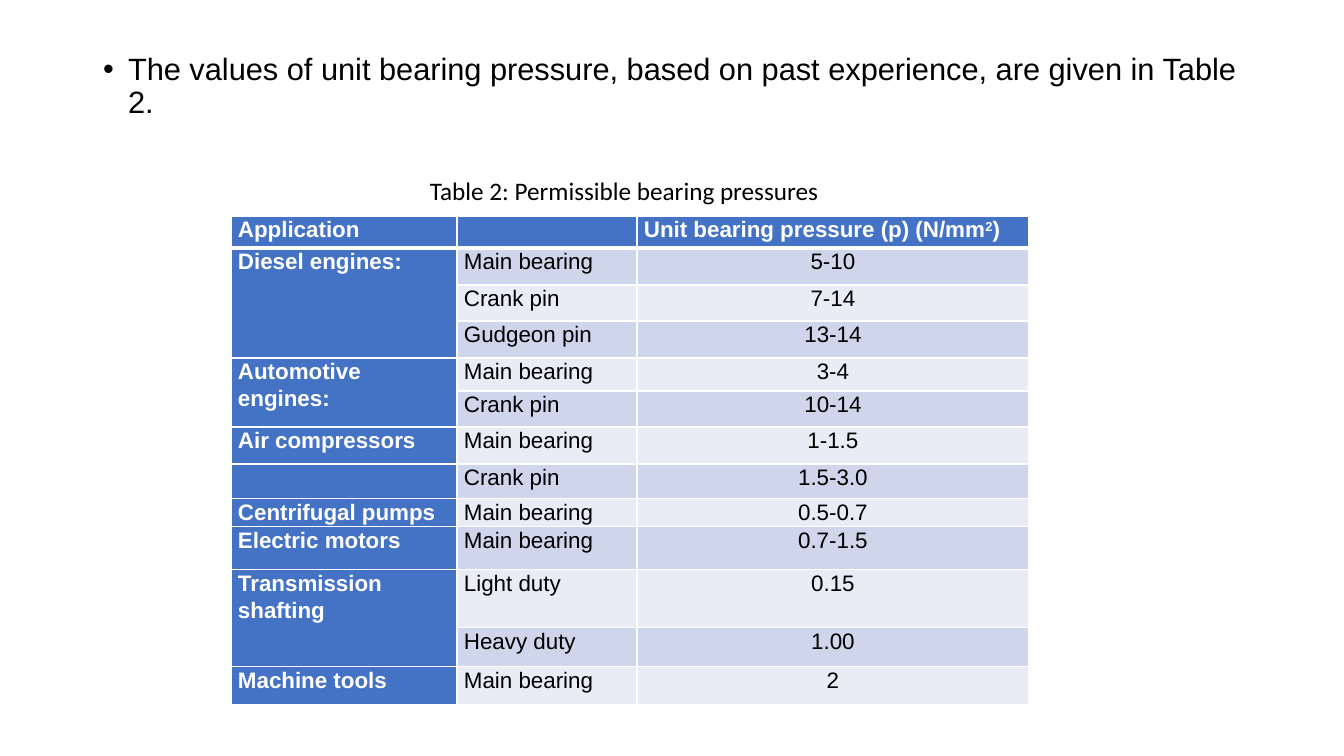
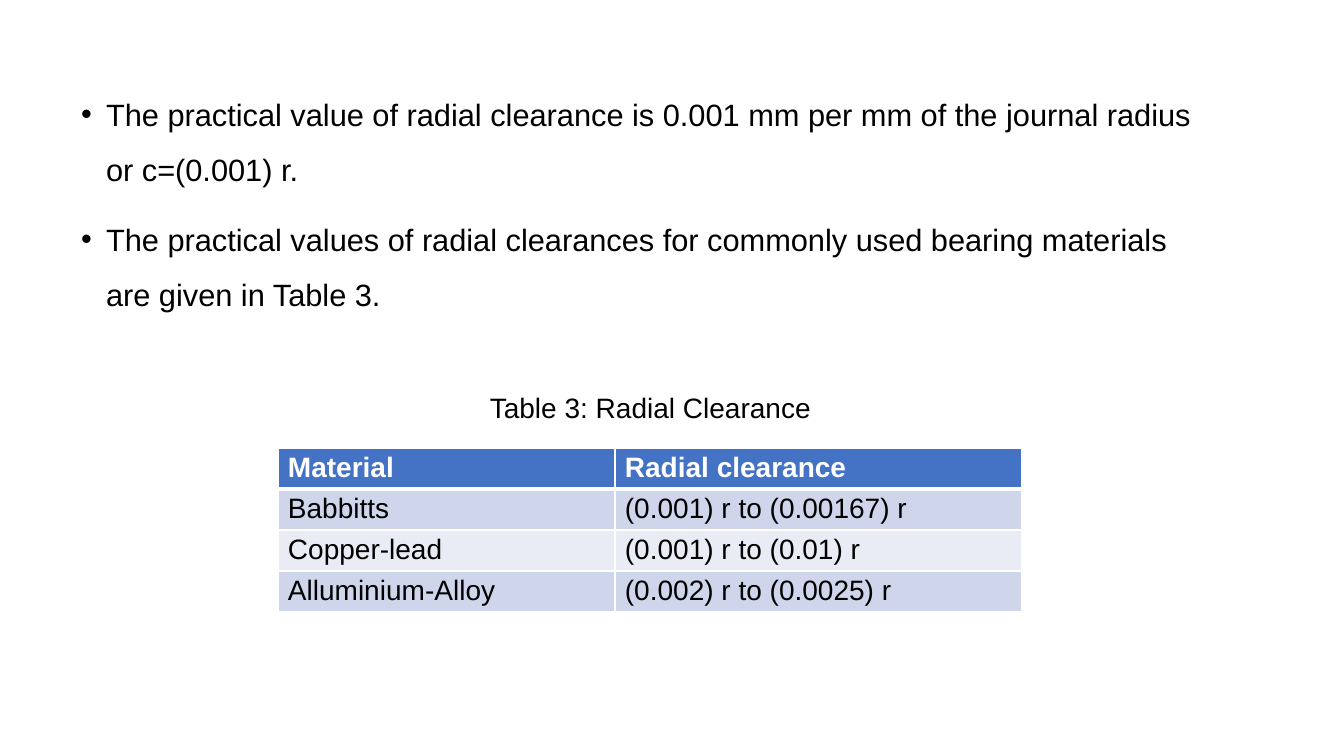
import pptx
import pptx.util
import pptx.dml.color
import pptx.enum.text
import pptx.oxml
import pptx.oxml.ns
import lxml.etree

ALIGN = pptx.enum.text.PP_ALIGN
BLACK, WHITE, BLUE = "000000", "FFFFFF", "4472C4"
BANDS = ("E9EBF5", "CFD5EA")
SIDES = ("lnL", "lnR", "lnT", "lnB")


def px(n):
    """Turn picture pixels into EMU."""
    return pptx.util.Emu(round(n * 914400 / 100.8))


def color(code):
    """Turn a hex string into a colour."""
    return pptx.dml.color.RGBColor.from_string(code)


def node(parent, tag, **attrs):
    """Append a drawing element to a parent."""
    item = lxml.etree.SubElement(parent, pptx.oxml.ns.qn("a:" + tag))
    for key, value in attrs.items():
        item.set(key, str(value))
    return item


def write(frame, text, size=22, font="Arial", ink=BLACK, bold=False,
          align=ALIGN.LEFT, line=1.0, before=0, bullet=False):
    """Add a paragraph; parts between carets are superscript."""
    para = frame.paragraphs[0] if not frame.text else frame.add_paragraph()
    para.alignment, para.line_spacing = align, line
    para.space_before = pptx.util.Pt(before)
    props = para._p.get_or_add_pPr()
    indent = px(25) if bullet else 0
    props.set("marL", str(indent))
    props.set("indent", str(-indent))
    if bullet:
        node(props, "buFont", typeface="Arial")
        node(props, "buChar", char="•")
    else:
        node(props, "buNone")
    for i, part in enumerate(text.split("^")):
        run = para.add_run()
        run.text = part
        run.font.size, run.font.name = pptx.util.Pt(size), font
        run.font.bold, run.font.color.rgb = bold, color(ink)
        if i % 2:
            run._r.get_or_add_rPr().set("baseline", "30000")


class Deck:
    """Holds the file, the current slide and the shared style."""

    def __init__(self):
        """Start a wide presentation."""
        self.file = pptx.Presentation()
        self.file.slide_width, self.file.slide_height = px(1344), px(756)

    def page(self):
        """Start a slide that has a body and no title."""
        self.slide = self.file.slides.add_slide(self.file.slide_layouts[1])
        title = self.slide.shapes.title
        title.element.getparent().remove(title.element)

    def body(self, left, top, width, height):
        """Place the body and return its text frame."""
        shape = self.slide.placeholders[1]
        shape.left, shape.top = px(left), px(top)
        shape.width, shape.height = px(width), px(height)
        frame = shape.text_frame
        frame.auto_size = pptx.enum.text.MSO_AUTO_SIZE.NONE
        frame.vertical_anchor = pptx.enum.text.MSO_ANCHOR.TOP
        return frame

    def label(self, left, top, width, height, text, **style):
        """Add a text box."""
        box = self.slide.shapes.add_textbox(px(left), px(top), px(width), px(height))
        box.text_frame.word_wrap = True
        write(box.text_frame, text, **style)

    def cell(self, cell, fill, inset, edges):
        """Set the margins, edges and fill of a cell."""
        cell.margin_left = cell.margin_right = px(inset[0])
        cell.margin_top = cell.margin_bottom = px(inset[1])
        props = cell._tc.get_or_add_tcPr()
        for side, width in zip(SIDES, edges):
            edge = node(props, side, w=pptx.util.Pt(width))
            node(node(edge, "solidFill"), "srgbClr", val=WHITE)
        cell.fill.solid()
        cell.fill.fore_color.rgb = color(fill)

    def table(self, left, top, cols, rows, data, inset, heads=0, mid=None, **style):
        """Add a banded table; None extends the cell above it."""
        grid = self.slide.shapes.add_table(
            len(rows), len(cols), px(left), px(top), px(sum(cols)), px(sum(rows))).table
        for col, width in zip(grid.columns, cols):
            col.width = px(width)
        for row, height in zip(grid.rows, rows):
            row.height = px(height)
        for r, line in enumerate(data):
            for c, text in enumerate(line):
                cell = grid.cell(r, c)
                head = r == 0 or c < heads
                edges = (1, 1, 3 if r == 1 else 1, 3 if r == 0 else 1)
                self.cell(cell, BLUE if head else BANDS[r % 2], inset, edges)
                if text:
                    write(cell.text_frame, text, bold=head, ink=WHITE if head else BLACK,
                          align=ALIGN.CENTER if r and c == mid else ALIGN.LEFT, **style)
        for c in range(len(cols)):
            start = 0
            for r in range(1, len(data) + 1):
                if r == len(data) or data[r][c] is not None:
                    if r - start > 1:
                        grid.cell(start, c).merge(grid.cell(r - 1, c))
                    start = r


PRESSURE = [
    ("Application", "", "Unit bearing pressure (p) (N/mm^2^) "),
    ("Diesel engines:", "Main bearing", "5-10"),
    (None, "Crank pin", "7-14"),
    (None, "Gudgeon pin", "13-14"),
    ("Automotive engines:", "Main bearing", "3-4"),
    (None, "Crank pin", "10-14"),
    ("Air compressors", "Main bearing", "1-1.5"),
    ("", "Crank pin", "1.5-3.0"),
    ("Centrifugal pumps", "Main bearing", "0.5-0.7"),
    ("Electric motors", "Main bearing", "0.7-1.5"),
    ("Transmission shafting", "Light duty", "0.15"),
    (None, "Heavy duty", "1.00"),
    ("Machine tools", "Main bearing", "2"),
]
RADIAL = [
    ("Material", "Radial clearance "),
    ("Babbitts", "(0.001) r to (0.00167) r"),
    ("Copper-lead", "(0.001) r to (0.01) r"),
    ("Alluminium-Alloy", "(0.002) r to (0.0025) r"),
]


def bearing(deck):
    """Build the slide on bearing pressures."""
    deck.page()
    write(deck.body(93, 49, 1159, 631),
          "The values of unit bearing pressure, based on past experience, "
          "are given in Table 2.", line=0.9, before=10, bullet=True)
    deck.table(231, 216, (226, 180, 392),
               (32, 37, 36, 37, 33, 36, 37, 35, 28, 43, 58, 39, 38),
               PRESSURE, (7, 0), heads=1, mid=2, size=16, line=1.07)
    deck.label(420, 170, 442, 40, "Table 2: Permissible bearing pressures",
               size=18, font="Calibri")


def radial(deck):
    """Build the slide on radial clearance."""
    deck.page()
    frame = deck.body(71, 72, 1159, 591)
    for text in (
            "The practical value of radial clearance is 0.001 mm per mm of the "
            "journal radius or c=(0.001) r.",
            "The practical values of radial clearances for commonly used bearing "
            "materials are given in Table 3."):
        write(frame, text, line=1.5, before=10, bullet=True)
    write(frame, "Table 3: Radial Clearance", size=20, align=ALIGN.CENTER,
          line=0.9, before=58)
    deck.table(278, 448, (337, 407), (41,) * 4, RADIAL, (10, 4), size=20)


deck = Deck()
bearing(deck)
radial(deck)
deck.file.save("out.pptx")
